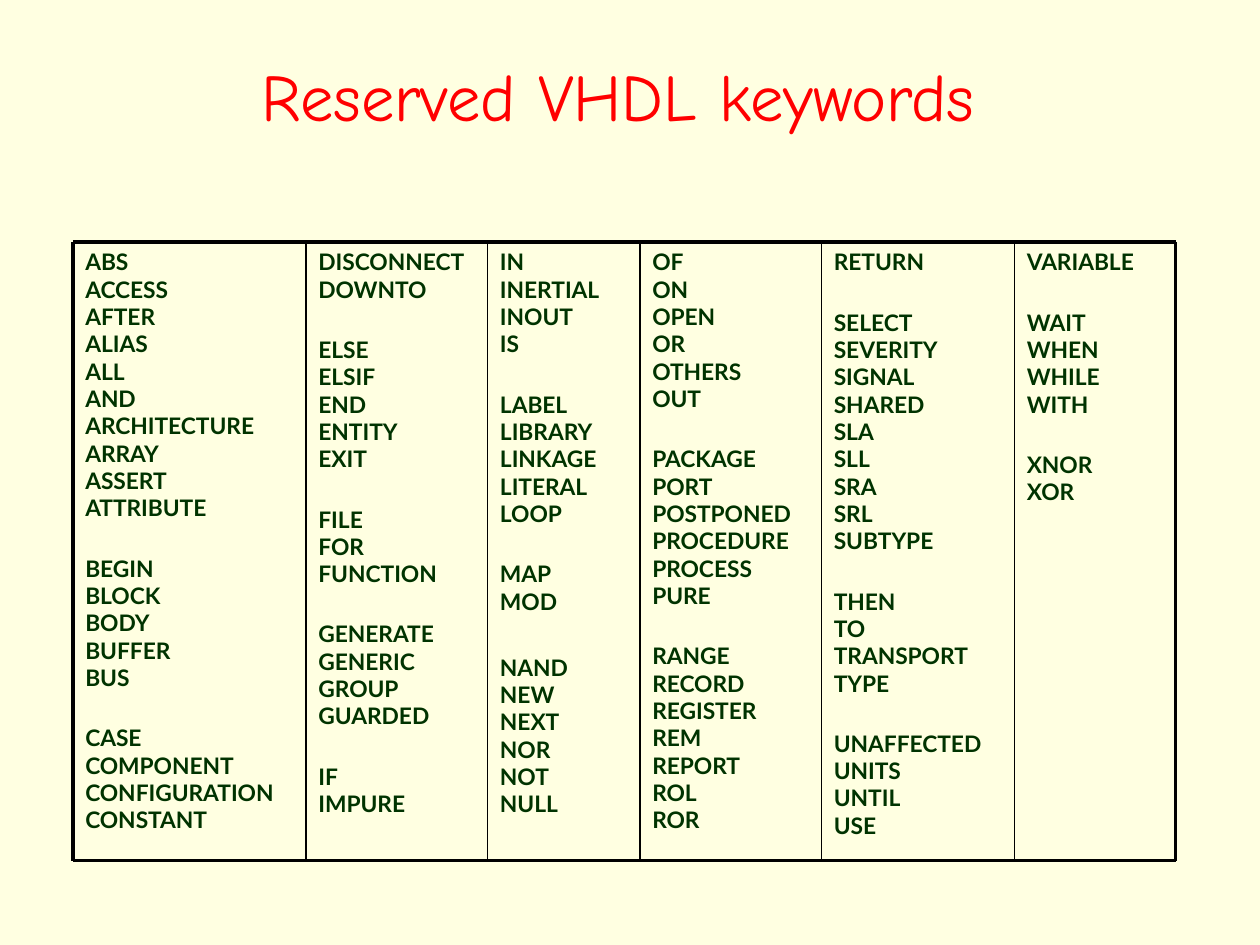
from itertools import accumulate

from lxml import etree
from pptx import Presentation
from pptx.dml.color import RGBColor
from pptx.enum.shapes import MSO_CONNECTOR
from pptx.enum.text import MSO_ANCHOR, MSO_AUTO_SIZE, PP_ALIGN
from pptx.oxml.ns import qn
from pptx.util import Cm, Pt

STRAIGHT = MSO_CONNECTOR.STRAIGHT
MIDDLE = MSO_ANCHOR.MIDDLE
TOP = MSO_ANCHOR.TOP
NO_FIT = MSO_AUTO_SIZE.NONE
CENTER = PP_ALIGN.CENTER
LEFT = PP_ALIGN.LEFT

COLORS = {"background": "FFFFE1", "title": "FF0000", "keyword": "003300", "rule": "000000"}
GROUP_GAP = 18.8
WIDE_GAPS = {"NAND": 22.1}

# Each column: width in cm and its keyword groups, one per initial
COLUMNS = [
    (4.70, ["ABS ACCESS AFTER ALIAS ALL AND ARCHITECTURE ARRAY ASSERT ATTRIBUTE",
            "BEGIN BLOCK BODY BUFFER BUS",
            "CASE COMPONENT CONFIGURATION CONSTANT"]),
    (3.66, ["DISCONNECT DOWNTO",
            "ELSE ELSIF END ENTITY EXIT",
            "FILE FOR FUNCTION",
            "GENERATE GENERIC GROUP GUARDED",
            "IF IMPURE"]),
    (3.07, ["IN INERTIAL INOUT IS",
            "LABEL LIBRARY LINKAGE LITERAL LOOP",
            "MAP MOD",
            "NAND NEW NEXT NOR NOT NULL"]),
    (3.66, ["OF ON OPEN OR OTHERS OUT",
            "PACKAGE PORT POSTPONED PROCEDURE PROCESS PURE",
            "RANGE RECORD REGISTER REM REPORT ROL ROR"]),
    (3.89, ["RETURN",
            "SELECT SEVERITY SIGNAL SHARED SLA SLL SRA SRL SUBTYPE",
            "THEN TO TRANSPORT TYPE",
            "UNAFFECTED UNITS UNTIL USE"]),
    (3.25, ["VARIABLE",
            "WAIT WHEN WHILE WITH",
            "XNOR XOR"]),
]


def rgb(name):
    return RGBColor.from_string(COLORS[name])


def style_runs(p, font, size, color, bold=False):
    for r in p.runs:
        r.font.name = font
        r.font.size = Pt(size)
        r.font.bold = bold
        r.font.color.rgb = rgb(color)


def add_title(slide, x, y, w, h):
    sp = slide.shapes.title
    sp.left, sp.top, sp.width, sp.height = Cm(x), Cm(y), Cm(w), Cm(h)
    tf = sp.text_frame
    tf.text = "Reserved VHDL keywords"
    tf.auto_size = NO_FIT
    tf.vertical_anchor = MIDDLE
    p = tf.paragraphs[0]
    p.alignment = CENTER
    style_runs(p, "Comic Neue", 38, "title")


def add_keyword_column(slide, groups, x, y, w, h):
    tf = slide.shapes.add_textbox(Cm(x), Cm(y), Cm(w), Cm(h)).text_frame
    tf.word_wrap = True
    tf.auto_size = NO_FIT
    tf.vertical_anchor = TOP
    for i, group in enumerate(groups):
        words = group.split()
        p = tf.add_paragraph() if i else tf.paragraphs[0]
        p.text = "\v".join(words)
        p.alignment = LEFT
        if i:
            p.space_before = Pt(WIDE_GAPS.get(words[0], GROUP_GAP))
        style_runs(p, "Lato", 13, "keyword", bold=True)


def add_rule(slide, x1, y1, x2, y2, width):
    line = slide.shapes.add_connector(STRAIGHT, Cm(x1), Cm(y1), Cm(x2), Cm(y2))
    line.line.color.rgb = rgb("rule")
    line.line.width = Pt(width)
    etree.SubElement(line._element.spPr, qn("a:effectLst"))


def add_keyword_grid(slide, x, y, h):
    edges = list(accumulate((w for w, _ in COLUMNS), initial=x))
    for left, (w, groups) in zip(edges, COLUMNS):
        add_keyword_column(slide, groups, left, y, w, h)
    # Heavy outer frame, thin column dividers
    for edge_y in (y, y + h):
        add_rule(slide, edges[0], edge_y, edges[-1], edge_y, 2)
    for edge in edges:
        add_rule(slide, edge, y, edge, y + h, 2 if edge in (edges[0], edges[-1]) else 1)


def main():
    prs = Presentation()
    prs.slide_width, prs.slide_height = Cm(25.4), Cm(19.05)
    slide = prs.slides.add_slide(prs.slide_layouts[5])
    fill = slide.background.fill
    fill.solid()
    fill.fore_color.rgb = rgb("background")
    add_title(slide, 0.18, 1.02, 24.56, 1.78)
    add_keyword_grid(slide, 1.47, 4.88, 12.47)
    prs.save("out.pptx")


if __name__ == "__main__":
    main()
